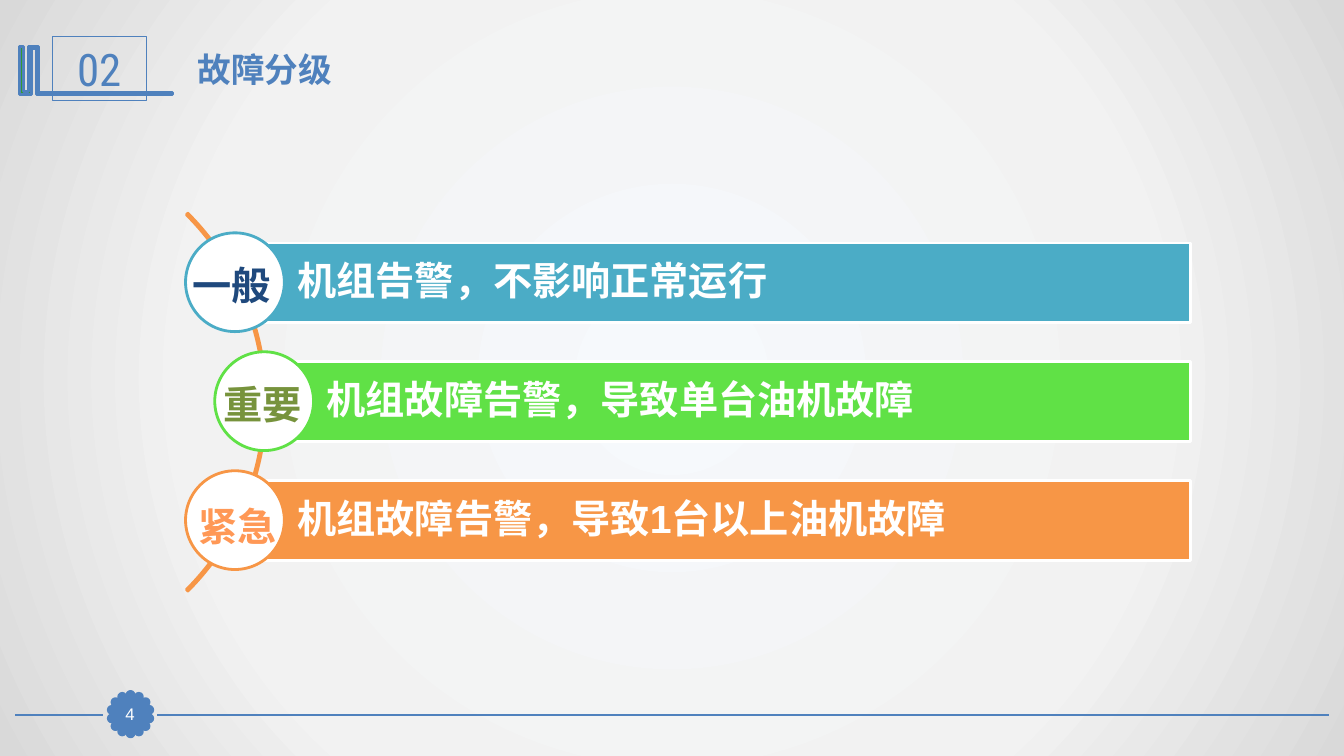
from math import cos, pi, sin
from lxml import etree
from pptx import Presentation
from pptx.dml.color import RGBColor
from pptx.enum.shapes import MSO_CONNECTOR as Conn, MSO_SHAPE as Kind
from pptx.enum.text import MSO_ANCHOR as Anchor, PP_ALIGN as Align
from pptx.oxml import parse_xml
from pptx.oxml.ns import nsdecls, qn
from pptx.util import Inches, Pt

BLUE = "4F81BD"


def paint(shape, fill, line, width):
    shape.shadow.inherit = False
    if fill:
        shape.fill.solid()
        shape.fill.fore_color.rgb = RGBColor.from_string(fill)
    else:
        shape.fill.background()
    shape.line.color.rgb = RGBColor.from_string(line)
    shape.line.width = Pt(width)


def write(shape, text, size, color, bold=False, align=Align.LEFT, face="Arial"):
    para = shape.text_frame.paragraphs[0]
    para.alignment = align
    run = para.add_run()
    run.text = text
    run.font.size = Pt(size)
    run.font.bold = bold
    run.font.name = face
    run.font.color.rgb = RGBColor.from_string(color)
    return para


deck = Presentation()
deck.slide_width = Inches(13.33)
deck.slide_height = Inches(7.5)
slide = deck.slides.add_slide(deck.slide_layouts[6])
shapes = slide.shapes

slide.background.fill.solid()
back = slide._element.find(".//" + qn("p:bgPr"))
stops = "".join(
    f'<a:gs pos="{pos * 1000}"><a:srgbClr val="{tint}"/></a:gs>'
    for pos, tint in [(0, "F6F9FC"), (63, "F2F2F2"), (100, "D9D9D9")])
back.replace(back[0], parse_xml(
    f'<a:gradFill {nsdecls("a")} rotWithShape="1"><a:gsLst>{stops}</a:gsLst>'
    '<a:path path="circle"><a:fillToRect l="50000" t="50000" r="50000" b="50000"/>'
    '</a:path></a:gradFill>'))

for start, end in [(13.18, 1.56), (1.02, 0.15)]:
    rule = shapes.add_connector(
        Conn.STRAIGHT, Inches(start), Inches(7.09), Inches(end), Inches(7.09))
    rule.line.color.rgb = RGBColor.from_string(BLUE)
    rule.line.width = Pt(1.25)
    etree.SubElement(rule._element.spPr, qn("a:effectLst"))

for step in range(14):
    turn = 2 * pi * step / 14
    dot = shapes.add_shape(
        Kind.OVAL, Inches(1.26 + 0.19 * sin(turn)),
        Inches(7.05 - 0.19 * cos(turn)), Inches(0.07), Inches(0.07))
    paint(dot, BLUE, BLUE, 2)

points = [(38, 46), (38, 92), (171, 92), (171, 94), (36, 94), (36, 48), (31, 48),
          (31, 94), (19, 94), (19, 46), (23, 46), (23, 91), (28, 91), (28, 46)]
pen = shapes.build_freeform(37, 46, scale=Inches(0.01))
pen.add_line_segments(points, close=True)
paint(pen.convert_to_shape(), "339933", BLUE, 2)

number = shapes.add_shape(
    Kind.RECTANGLE, Inches(0.52), Inches(0.36), Inches(0.93), Inches(0.64))
paint(number, None, BLUE, 0.75)
number.text_frame.vertical_anchor = Anchor.MIDDLE
write(number, "02", 32, BLUE, align=Align.CENTER, face="Roboto Condensed")

page = shapes.add_shape(
    Kind.RECTANGLE, Inches(1.13), Inches(6.93), Inches(0.32), Inches(0.31))
paint(page, BLUE, BLUE, 0.75)
frame = page.text_frame
frame.margin_left = frame.margin_right = frame.margin_top = frame.margin_bottom = 0
frame.vertical_anchor = Anchor.MIDDLE
write(page, "4", 12, "FFFFFF", align=Align.CENTER)

title = shapes.add_textbox(Inches(1.86), Inches(0.44), Inches(9.69), Inches(0.5))
title.text_frame.word_wrap = True
write(title, "故障分级", 24, BLUE, True)

arc = shapes.add_shape(
    Kind.BLOCK_ARC, Inches(-2.66), Inches(1.34), Inches(5.3), Inches(5.3))
for index, value in enumerate([189, 27, 0.004]):
    arc.adjustments[index] = value
paint(arc, None, "F79646", 2)

levels = [
    ("一般", "机组告警，不影响正常运行", "4BACC6", "1F497D", 2.33, 1.81, 2.54),
    ("重要", "机组故障告警，导致单台油机故障", "60E146", "77933C", 2.62, 2.12, 3.72),
    ("紧急", "机组故障告警，导致1台以上油机故障", "F79646", "FF9856", 2.33, 1.87, 4.93),
]
for row, (name, text, fill, ink, left, x, y) in enumerate(levels):
    top = 2.41 + 1.18 * row
    bar = shapes.add_shape(
        Kind.RECTANGLE, Inches(left), Inches(top), Inches(11.81 - left), Inches(0.79))
    paint(bar, fill, "FFFFFF", 2)
    frame = bar.text_frame
    frame.margin_left = Inches(0.62)
    frame.margin_right = frame.margin_top = frame.margin_bottom = Inches(0.08)
    frame.vertical_anchor = Anchor.MIDDLE
    para = write(bar, text, 28, "FFFFFF", True)
    para.line_spacing = 0.9
    para.space_after = Pt(10)

    disc = shapes.add_shape(
        Kind.OVAL, Inches(left - 0.49), Inches(top - 0.1), Inches(0.98), Inches(0.98))
    paint(disc, "FFFFFF", fill, 2)

    label = shapes.add_textbox(Inches(x), Inches(y), Inches(1.75), Inches(0.57))
    label.text_frame.word_wrap = True
    write(label, name, 28, ink, True)

deck.save("out.pptx")
